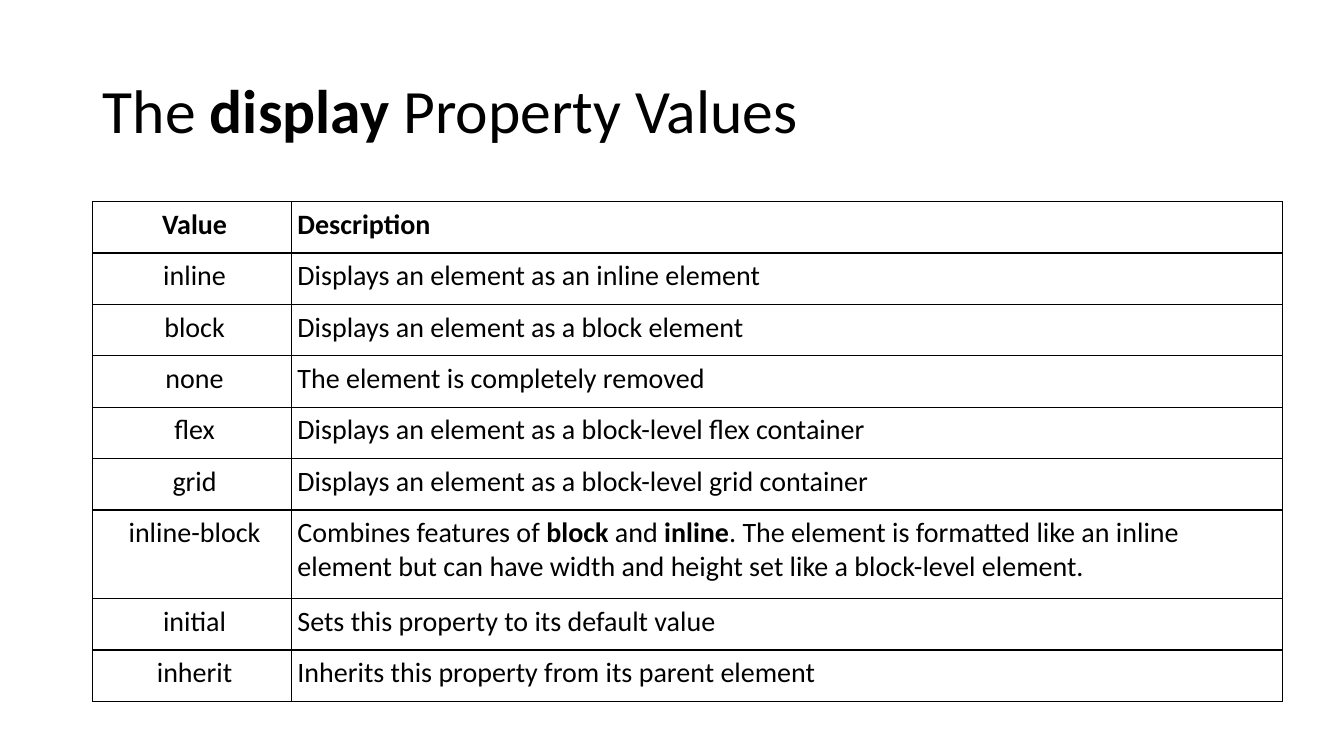
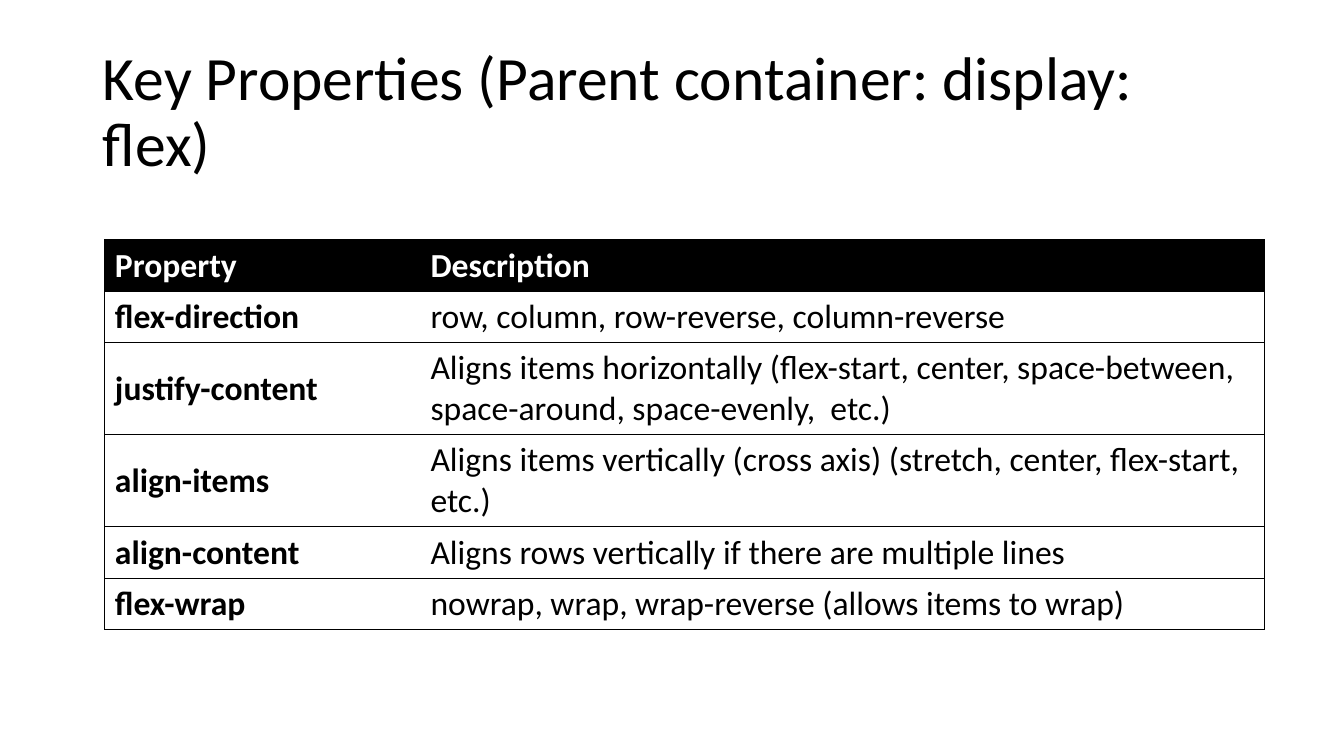
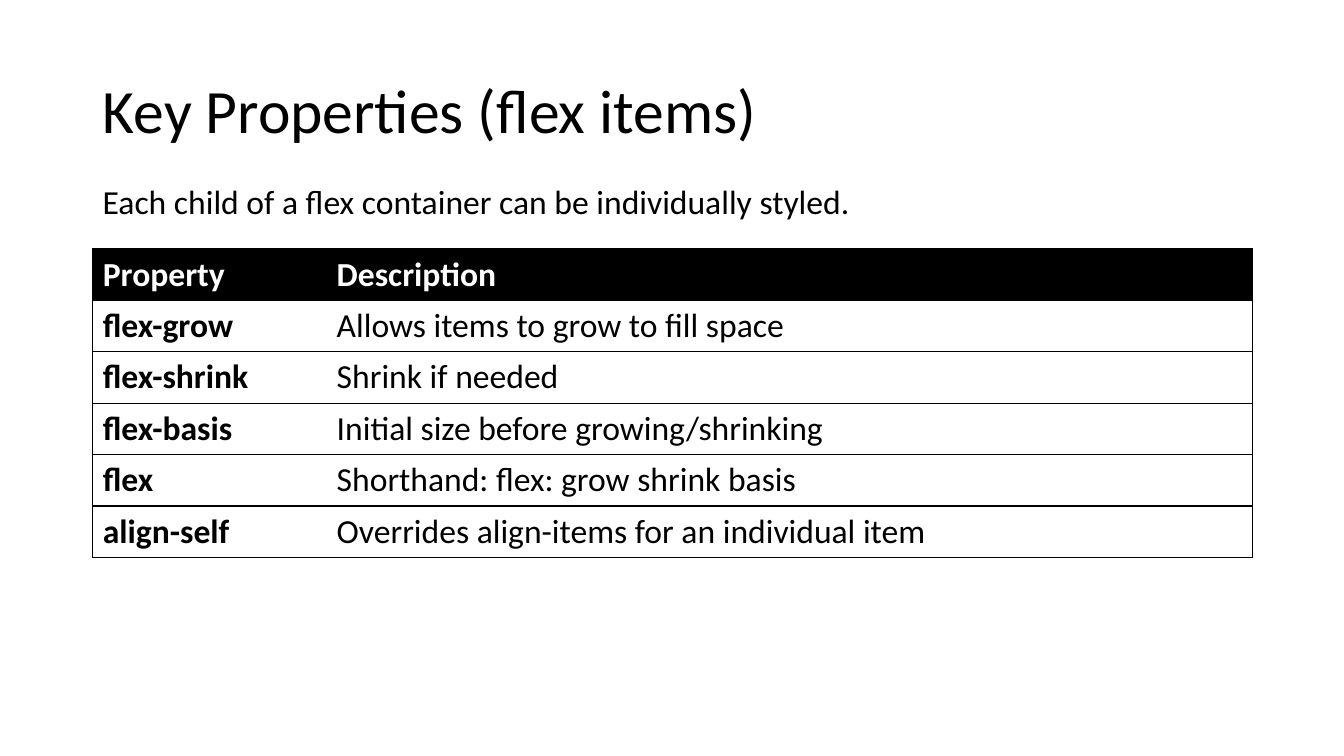
from lxml import etree
from pptx import Presentation
from pptx.dml.color import RGBColor
from pptx.enum.text import MSO_ANCHOR as ANCHOR, MSO_AUTO_SIZE as AUTO, PP_ALIGN as ALIGN
from pptx.oxml.ns import qn
from pptx.util import Inches, Pt

BLACK = RGBColor(0x00, 0x00, 0x00)
WHITE = RGBColor(0xFF, 0xFF, 0xFF)
FONT = "Calibri"
LEFT = 0.92
TITLE_BOX = (LEFT, 0.4, 11.5, 1.45)
ROW_H = 0.51

DISPLAY_VALUES = [
    ("Value", "Description"),
    ("inline", "Displays an element as an inline element"),
    ("block", "Displays an element as a block element"),
    ("none", "The element is completely removed"),
    ("flex", "Displays an element as a block-level flex container"),
    ("grid", "Displays an element as a block-level grid container"),
    ("inline-block", "Combines features of **block** and **inline**. The element is "
     "formatted like an inline element but can have width and height set like a "
     "block-level element."),
    ("initial", "Sets this property to its default value"),
    ("inherit", "Inherits this property from its parent element"),
]
CONTAINER_PROPERTIES = [
    ("Property", "Description"),
    ("flex-direction", "row, column, row-reverse, column-reverse"),
    ("justify-content", "Aligns items horizontally (flex-start, center, space-between, "
     "space-around, space-evenly,  etc.)"),
    ("align-items", "Aligns items vertically (cross axis) (stretch, center, flex-start, etc.)"),
    ("align-content", "Aligns rows vertically if there are multiple lines"),
    ("flex-wrap", "nowrap, wrap, wrap-reverse (allows items to wrap)"),
]
ITEM_PROPERTIES = [
    ("Property", "Description"),
    ("flex-grow", "Allows items to grow to fill space"),
    ("flex-shrink", "Shrink if needed"),
    ("flex-basis", "Initial size before growing/shrinking"),
    ("flex", "Shorthand: flex: grow shrink basis"),
    ("align-self", "Overrides align-items for an individual item"),
]


def write(tf, text, size=24, color=BLACK, bold=False, align=ALIGN.LEFT, spacing=None):
    """Fill the first paragraph; words between ** marks are bold."""
    p = tf.paragraphs[0]
    p.alignment = align
    if spacing:
        p.line_spacing = spacing
    for i, part in enumerate(text.split("**")):
        r = p.add_run()
        r.text = part
        r.font.name, r.font.size = FONT, Pt(size)
        r.font.bold = bold or i % 2 == 1
        r.font.color.rgb = color


def set_borders(cell, sides):
    """Draw 1 pt lines on the named sides and clear the others."""
    tcPr = cell._tc.get_or_add_tcPr()
    for i, side in enumerate("LRTB"):
        ln = etree.Element(qn(f"a:ln{side}"), w=str(Pt(1)))
        if side in sides:
            fill = etree.SubElement(ln, qn("a:solidFill"))
            etree.SubElement(fill, qn("a:srgbClr"), val=str(BLACK))
        else:
            etree.SubElement(ln, qn("a:noFill"))
        tcPr.insert(i, ln)


def add_grid(s, rows, left, top, col_widths, tall=None):
    """Place a plain table; tall maps row numbers to larger heights."""
    heights = [(tall or {}).get(i, ROW_H) for i in range(len(rows))]
    frame = s.shapes.add_table(len(rows), len(col_widths), Inches(left), Inches(top),
                               Inches(sum(col_widths)), Inches(sum(heights)))
    table = frame.table
    table.first_row = table.horz_banding = False
    for col, width in zip(table.columns, col_widths):
        col.width = Inches(width)
    for row, height in zip(table.rows, heights):
        row.height = Inches(height)
    return table


def fill_cell(cell, text, fill, sides, **fmt):
    cell.fill.solid()
    cell.fill.fore_color.rgb = fill
    set_borders(cell, sides)
    write(cell.text_frame, text, **fmt)


def add_value_table(s, rows, left, top, col_widths, tall):
    """Fully ruled table with a centred first column."""
    table = add_grid(s, rows, left, top, col_widths, tall)
    for i, row in enumerate(rows):
        for j, text in enumerate(row):
            cell = table.cell(i, j)
            cell.margin_left = Inches(0.06 if j else 0.11)
            cell.margin_right = cell.margin_top = cell.margin_bottom = Inches(0.06)
            fill_cell(cell, text, WHITE, "LRTB", size=20, bold=i == 0,
                      align=ALIGN.LEFT if j else ALIGN.CENTER)


def add_property_table(s, rows, left, top, col_widths, tall=None):
    """Table with a black header, bold names and no line between columns."""
    table = add_grid(s, rows, left, top, col_widths, tall)
    for i, row in enumerate(rows):
        for j, text in enumerate(row):
            cell = table.cell(i, j)
            cell.vertical_anchor = ANCHOR.MIDDLE
            fill_cell(cell, text, WHITE if i else BLACK, "RTB" if j else "LTB",
                      color=BLACK if i else WHITE, bold=i == 0 or j == 0)


def add_titled_slide(prs, title):
    s = prs.slides.add_slide(prs.slide_layouts[5])
    sp = s.shapes.title
    sp.left, sp.top, sp.width, sp.height = map(Inches, TITLE_BOX)
    tf = sp.text_frame
    tf.auto_size, tf.word_wrap = AUTO.NONE, True
    tf.vertical_anchor = ANCHOR.MIDDLE
    write(tf, title, size=44, spacing=0.9)
    return s


def add_lead(s, text, left, top, width, height):
    """Introductory line above a table."""
    sp = s.shapes.add_textbox(*map(Inches, (left, top, width, height)))
    tf = sp.text_frame
    tf.word_wrap, tf.auto_size = True, AUTO.SHAPE_TO_FIT_TEXT
    write(tf, text)


def main():
    prs = Presentation()
    prs.slide_width, prs.slide_height = Inches(13.33), Inches(7.5)

    # Display values
    s = add_titled_slide(prs, "The **display** Property Values")
    add_value_table(s, DISPLAY_VALUES, LEFT, 2, (1.97, 9.83), {6: 0.88})

    # Container properties
    s = add_titled_slide(prs, "Key Properties (Parent container: display: flex)")
    add_property_table(s, CONTAINER_PROPERTIES, 1.04, 2.38, (3.13, 8.37), {2: 0.91, 3: 0.91})

    # Item properties
    s = add_titled_slide(prs, "Key Properties (flex items)")
    add_property_table(s, ITEM_PROPERTIES, LEFT, 2.47, (2.32, 9.18))
    add_lead(s, "Each child of a flex container can be individually styled.",
             LEFT, 1.75, 8.77, 0.5)

    prs.save("out.pptx")


if __name__ == "__main__":
    main()
